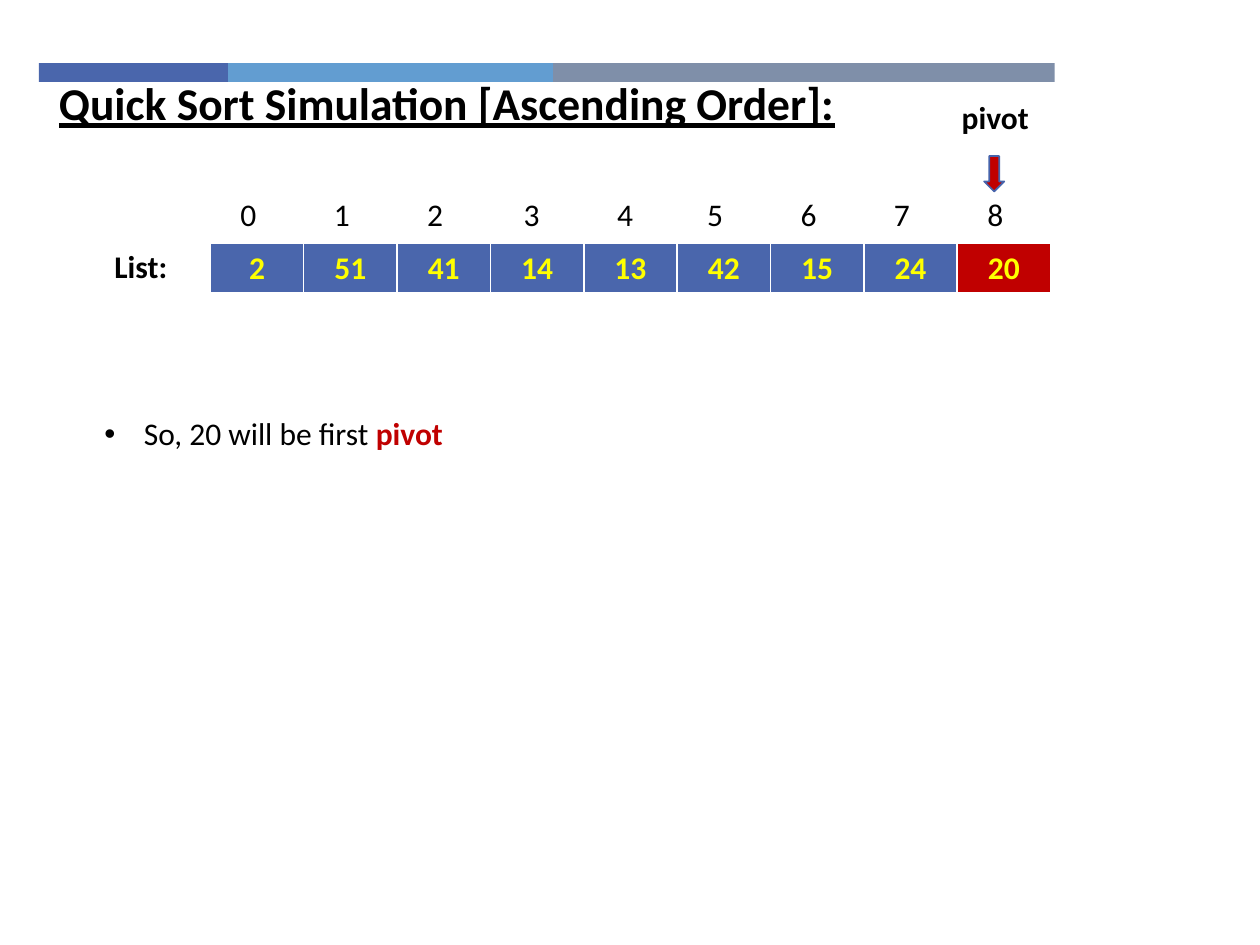
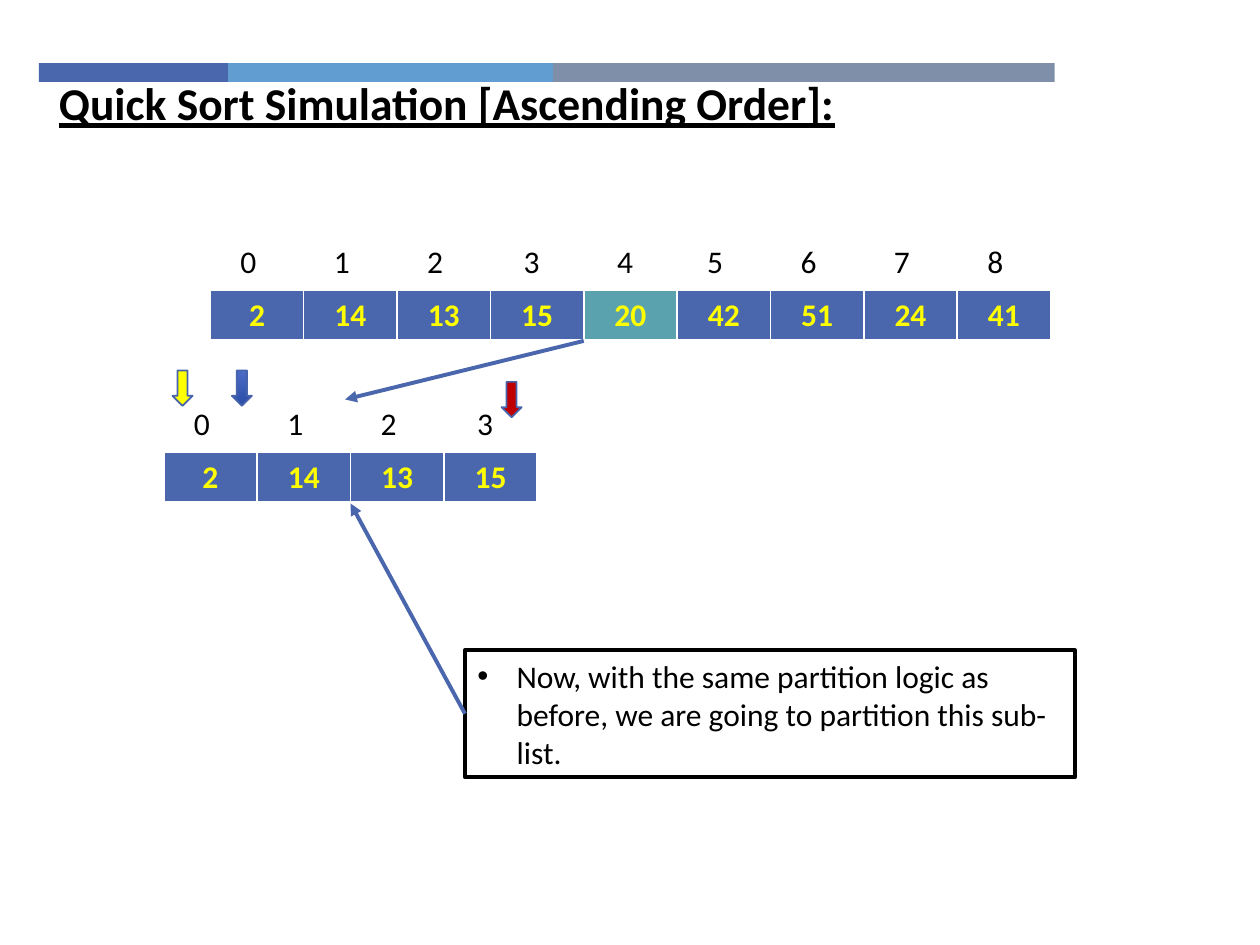
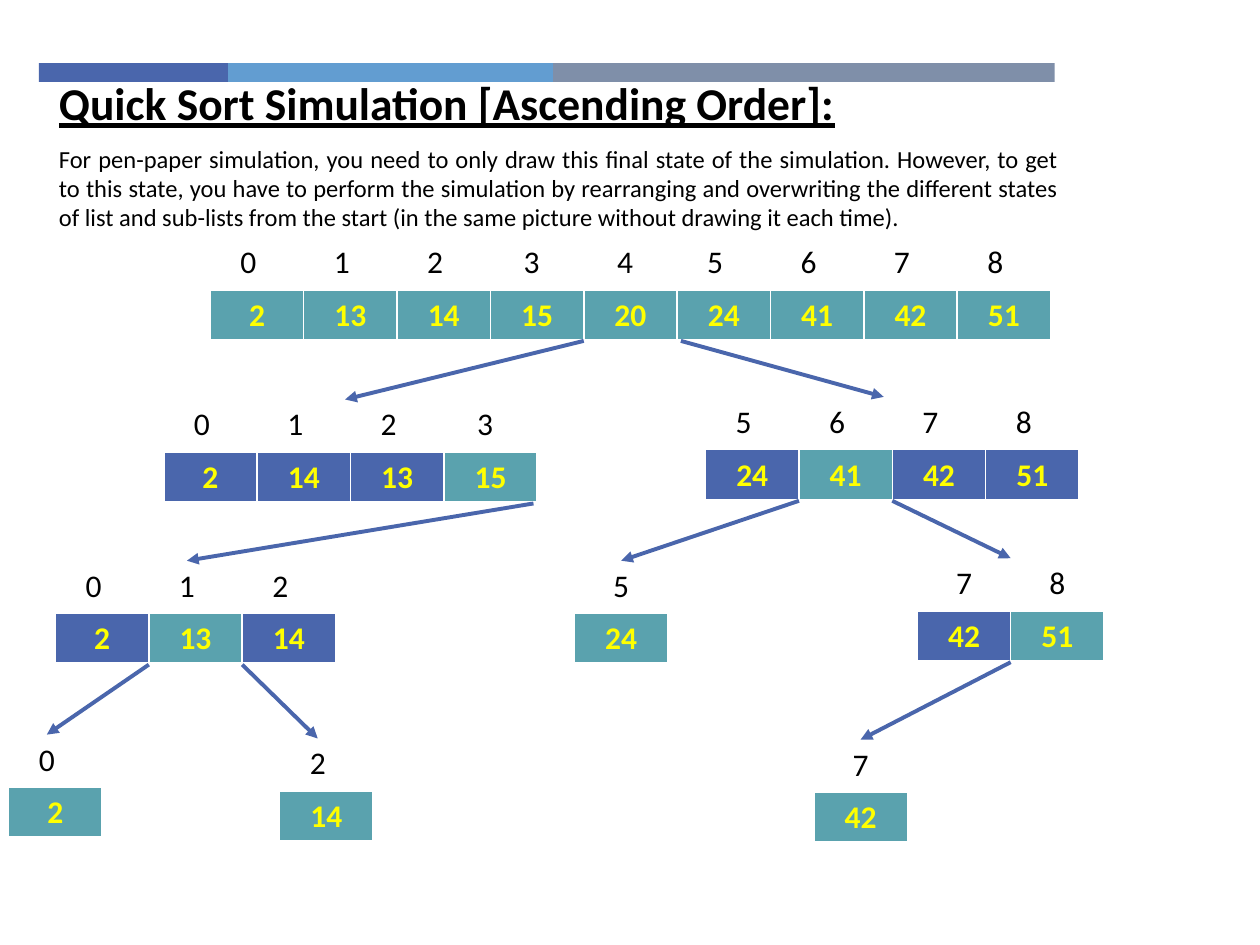
from dataclasses import dataclass

from lxml import etree
from pptx import Presentation
from pptx.dml.color import RGBColor
from pptx.enum import shapes, text
from pptx.oxml import ns
from pptx.util import Pt


@dataclass(frozen=True)
class Theme:
    font: str = "Calibri"
    title_size: float = 26
    body_size: float = 18
    note_size: float = 14
    ink: str = "000000"
    paper: str = "FFFFFF"
    number: str = "FFFF00"
    waiting: str = "4A66AC"
    placed: str = "5AA2AE"
    pivot: str = "C00000"
    pointer_line: str = "4663AB"
    shade: tuple = ("2A4EA8", "4B6BC6")
    band: tuple = ("4A66AC", "629DD1", "7F8FA9")


THEME = Theme()
CELL = 53.35
ROW = 29.2
INDEX_RISE = 30.2
INDEX_WIDTHS = {3: 57, 4: 49.7}
TITLE = "Quick Sort Simulation [Ascending Order]:"


@dataclass
class NumberList:
    """A row of numbers at x, y with its indices above; colours maps a position to a fill."""
    x: float
    y: float
    numbers: list
    first: int = 0
    colours: dict = None
    index_shift: float = -4.9

    @property
    def index_widths(self):
        return [INDEX_WIDTHS.get(i, CELL) for i in self.indices]

    @property
    def indices(self):
        return range(self.first, self.first + len(self.numbers))

    def bottom(self, edge):
        """Point under the list, edge cells from its left side."""
        return self.x + edge * CELL, self.y + ROW

    def top(self):
        """Point above the middle of the indices."""
        return self.x + self.index_shift + sum(self.index_widths) / 2, self.y - INDEX_RISE


def rgb(colour):
    return RGBColor.from_string(colour)


def points(*lengths):
    return [Pt(length) for length in lengths]


def write(paragraph, words, size=THEME.body_size, colour=THEME.ink, bold=False, underline=False):
    run = paragraph.add_run()
    run.text = words
    run.font.name = THEME.font
    run.font.size = Pt(size)
    run.font.color.rgb = rgb(colour)
    run.font.bold = bold
    run.font.underline = underline


def add_bullet(paragraph):
    props = paragraph._p.get_or_add_pPr()
    props.set("marL", str(Pt(22.5)))
    props.set("indent", str(-Pt(22.5)))
    etree.SubElement(props, ns.qn("a:buFont")).set("typeface", "Arial")
    etree.SubElement(props, ns.qn("a:buChar")).set("char", "•")


def add_text(slide, box, align=text.PP_ALIGN.LEFT):
    """Add a text box and return its first paragraph."""
    frame = slide.shapes.add_textbox(*points(*box)).text_frame
    frame.word_wrap = True
    paragraph = frame.paragraphs[0]
    paragraph.alignment = align
    return paragraph


def add_block(slide, kind, box, fill=None, line=None, weight=1):
    block = slide.shapes.add_shape(kind, *points(*box))
    block.shadow.inherit = False
    if fill:
        block.fill.solid()
        block.fill.fore_color.rgb = rgb(fill)
    if line:
        block.line.color.rgb = rgb(line)
        block.line.width = Pt(weight)
    else:
        block.line.fill.background()
    return block


def add_arrow(slide, start, end):
    arrow = slide.shapes.add_connector(shapes.MSO_CONNECTOR.STRAIGHT, *points(*start, *end))
    arrow.line.color.rgb = rgb(THEME.waiting)
    arrow.line.width = Pt(2.25)
    etree.SubElement(arrow.line._get_or_add_ln(), ns.qn("a:tailEnd")).set("type", "triangle")
    etree.SubElement(arrow._element.spPr, ns.qn("a:effectLst"))
    return arrow


def add_pointer(slide, x, y, fill=None):
    """Down arrow over a list position, shaded when no fill is given."""
    pointer = add_block(slide, shapes.MSO_SHAPE.DOWN_ARROW, (x, y, 11.5, 20.2),
                        fill, THEME.pointer_line)
    if fill is None:
        pointer.fill.gradient()
        pointer.fill.gradient_angle = 90
        for stop, colour in zip(pointer.fill.gradient_stops, THEME.shade):
            stop.color.rgb = rgb(colour)


def set_borders(cell):
    props = cell._tc.get_or_add_tcPr()
    for place, (side, weight) in enumerate((("L", 1), ("R", 1), ("T", 1), ("B", 3))):
        border = etree.Element(ns.qn(f"a:ln{side}"), w=str(Pt(weight)))
        fill = etree.SubElement(border, ns.qn("a:solidFill"))
        etree.SubElement(fill, ns.qn("a:srgbClr")).set("val", THEME.paper)
        props.insert(place, border)


def add_row(slide, x, y, widths):
    """Add a plain one-row table and return its cells."""
    table = slide.shapes.add_table(1, len(widths), *points(x, y, sum(widths), ROW)).table
    table.first_row = table.horz_banding = False
    table.rows[0].height = Pt(ROW)
    for column, width in zip(table.columns, widths):
        column.width = Pt(width)
    for cell in table.iter_cells():
        cell.text_frame.paragraphs[0].alignment = text.PP_ALIGN.CENTER
    return list(table.iter_cells())


def draw_list(slide, row):
    number_cells = add_row(slide, row.x, row.y, [CELL] * len(row.numbers))
    for position, (cell, number) in enumerate(zip(number_cells, row.numbers)):
        cell.fill.solid()
        cell.fill.fore_color.rgb = rgb((row.colours or {}).get(position, THEME.waiting))
        set_borders(cell)
        write(cell.text_frame.paragraphs[0], str(number), colour=THEME.number, bold=True)
    index_cells = add_row(slide, row.x + row.index_shift, row.y - INDEX_RISE, row.index_widths)
    for cell, index in zip(index_cells, row.indices):
        cell.fill.background()
        cell.vertical_anchor = text.MSO_ANCHOR.MIDDLE
        write(cell.text_frame.paragraphs[0], str(index))


def draw_band(slide, x, y, widths, height):
    for width, colour in zip(widths, THEME.band):
        add_block(slide, shapes.MSO_SHAPE.RECTANGLE, (x, y, width, height), colour)
        x += width


def new_slide(deck):
    slide = deck.slides.add_slide(deck.slide_layouts[6])
    draw_band(slide, 22.3, 36, (108, 185.8, 286.6), 10.8)
    write(add_text(slide, (26.6, 39.6, 515.5, 38.9)), TITLE, THEME.title_size,
          bold=True, underline=True)
    return slide


def first_pivot_slide(deck):
    slide = new_slide(deck)
    draw_list(slide, NumberList(120.2, 139, [2, 51, 41, 14, 13, 42, 15, 24, 20],
                                colours={8: THEME.pivot}))
    remark = add_text(slide, (52.6, 233.3, 611.3, 29), text.PP_ALIGN.JUSTIFY)
    add_bullet(remark)
    write(remark, "So, 20 will be first ")
    write(remark, "pivot", colour=THEME.pivot, bold=True)
    add_pointer(slide, 562.4, 89.2, THEME.pivot)
    write(add_text(slide, (541.4, 52.6, 54.7, 29), text.PP_ALIGN.CENTER), "pivot", bold=True)
    write(add_text(slide, (58.3, 137.5, 56.2, 29)), "List:", bold=True)


def sublist_slide(deck):
    slide = new_slide(deck)
    whole = NumberList(120.2, 165.6, [2, 14, 13, 15, 20, 42, 51, 24, 41],
                       colours={4: THEME.placed})
    left = NumberList(93.6, 258.5, [2, 14, 13, 15])
    draw_list(slide, whole)
    draw_list(slide, left)
    add_arrow(slide, whole.bottom(4), left.top())

    remark = add_block(slide, shapes.MSO_SHAPE.RECTANGLE, (265.7, 371.5, 348.5, 72.7),
                       THEME.paper, THEME.ink, 2.25)
    remark.text_frame.word_wrap = True
    paragraph = remark.text_frame.paragraphs[0]
    paragraph.alignment = text.PP_ALIGN.LEFT
    add_bullet(paragraph)
    write(paragraph, "Now, with the same partition logic as before, "
                     "we are going to partition this sub-list.")
    add_arrow(slide, (265.7, 407.9), left.bottom(2)).begin_connect(remark, 1)

    add_pointer(slide, 286.6, 218.2, THEME.pivot)
    add_pointer(slide, 98.6, 211.7, THEME.number)
    add_pointer(slide, 132.5, 211.7)


def final_state_slide(deck):
    slide = new_slide(deck)

    def placed(*positions):
        return {position: THEME.placed for position in positions}

    whole = NumberList(120.2, 165.6, [2, 13, 14, 15, 20, 24, 41, 42, 51], 0, placed(*range(9)))
    left = NumberList(93.6, 258.5, [2, 14, 13, 15], 0, placed(3))
    low = NumberList(31.7, 350.6, [2, 13, 14], 0, placed(1))
    two = NumberList(5, 450, [2], 0, placed(0))
    fourteen = NumberList(159.8, 452.2, [14], 2, placed(0))
    right = NumberList(403.2, 257, [24, 41, 42, 51], 5, placed(1))
    twenty_four = NumberList(328.3, 350.6, [24], 5, placed(0), 0)
    high = NumberList(524.2, 349.2, [42, 51], 7, placed(1), 0)
    forty_two = NumberList(465.1, 452.9, [42], 7, placed(0), 0)
    for row in (whole, left, low, two, fourteen, right, twenty_four, high, forty_two):
        draw_list(slide, row)

    for parent, edge, child in ((whole, 4, left), (whole, 5.04, right), (left, 3.96, low),
                                (low, 1, two), (low, 2, fourteen), (right, 1, twenty_four),
                                (right, 2, high), (high, 1, forty_two)):
        add_arrow(slide, parent.bottom(edge), child.top())

    write(add_text(slide, (26.6, 78.5, 585.4, 58.3), text.PP_ALIGN.JUSTIFY),
          "For pen-paper simulation, you need to only draw this final state of the simulation. "
          "However, to get to this state, you have to perform the simulation by rearranging and "
          "overwriting the different states of list and sub-lists from the start (in the same "
          "picture without drawing it each time).", THEME.note_size)


def main():
    deck = Presentation()
    deck.slide_width, deck.slide_height = points(720, 540)
    first_pivot_slide(deck)
    sublist_slide(deck)
    final_state_slide(deck)
    deck.save("out.pptx")


if __name__ == "__main__":
    main()
